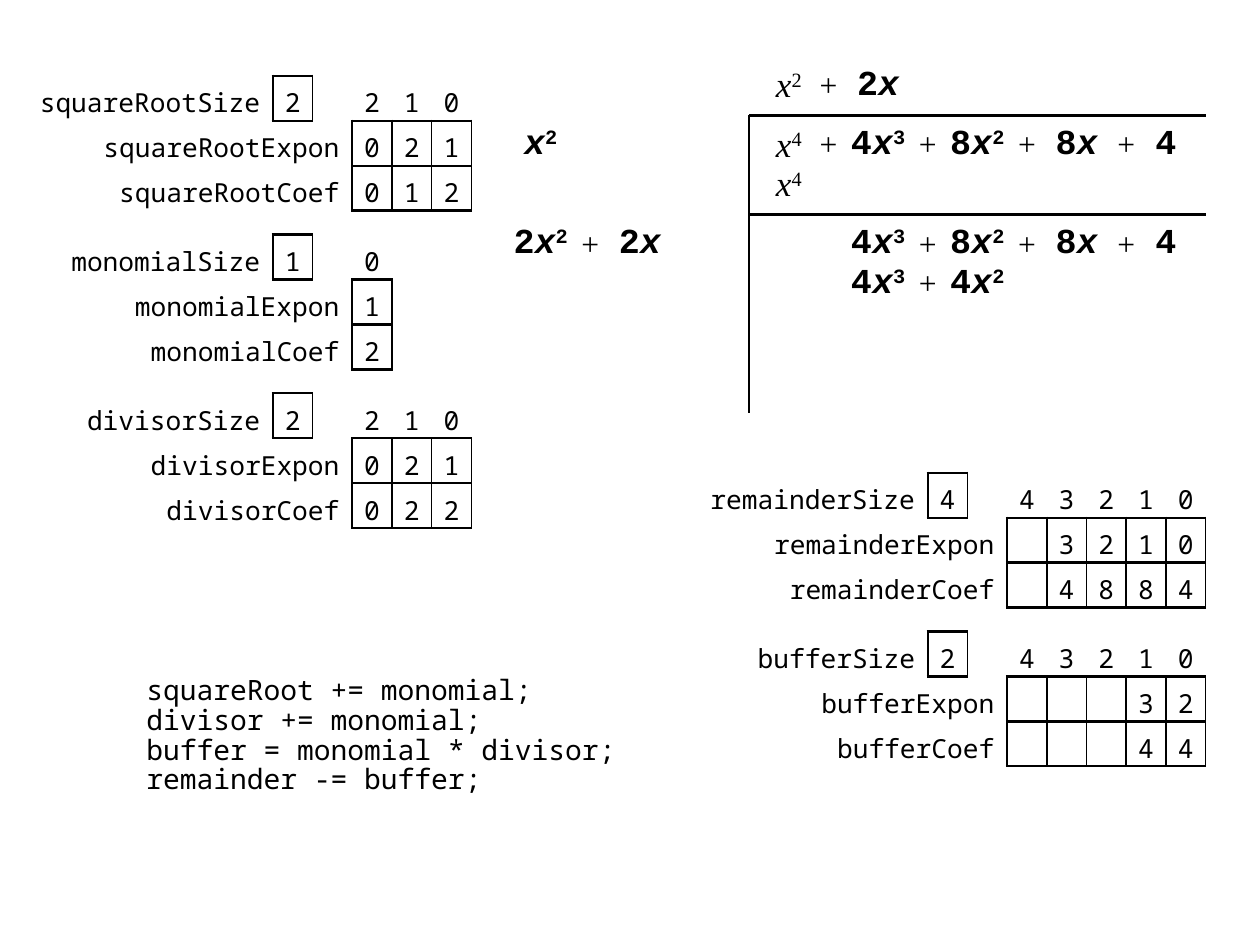
from lxml import etree
from pptx import Presentation
from pptx.dml.color import RGBColor
from pptx.enum.shapes import MSO_CONNECTOR
from pptx.enum.text import MSO_ANCHOR, PP_ALIGN
from pptx.oxml.ns import qn
from pptx.util import Pt

MID = MSO_ANCHOR.MIDDLE
RIGHT, CENTER = PP_ALIGN.RIGHT, PP_ALIGN.CENTER
STRAIGHT = MSO_CONNECTOR.STRAIGHT
PLAIN = "{2D5ABB26-0587-4C30-8999-92F81FD0307C}"  # table style without grid
BLACK = "000000"
MONO, SERIF, TYPE = "Noto Sans Mono", "Times New Roman", "Courier New"
UNIT = 11.34  # grid step
LEFT, TOP = 8.5, 66  # grid origin

# name, column, row, label width, size, exponents, coefficients
ARRAYS = [
    ("squareRoot", 17, -2, 14, "2", "021", "012"),
    ("monomial", 17, 6, 12, "1", "1", "2"),
    ("divisor", 17, 14, 11, "2", "021", "022"),
    ("remainder", 50, 18, 13, "4", " 3210", " 4884"),
    ("buffer", 50, 26, 11, "2", "   32", "   44"),
]

# column, row, column widths, font of the first cell, cells
WIDE = [2, 2, 3, 2, 3, 2, 3, 2, 2]
SLIM = [3, 2, 3, 2, 2]
SUMS = [
    (38, -3, WIDE, SERIF, ["x^2", "+", "2x"]),
    (38, 0, WIDE, SERIF, ["x^4", "+", "4x^3", "+", "8x^2", "+", "8x", "+", "4"]),
    (38, 2, WIDE, SERIF, ["x^4"]),
    (38, 5, WIDE, TYPE, ["", "", "4x^3", "+", "8x^2", "+", "8x", "+", "4"]),
    (38, 7, WIDE, TYPE, ["", "", "4x^3", "+", "4x^2"]),
    (25, 0, SLIM, TYPE, ["x^2"]),
    (25, 5, SLIM, TYPE, ["2x^2", "+", "2x"]),
]

# start column and row, end column and row
RULES = [(37, 0, 37, 15), (37, 0, 60, 0), (37, 5, 60, 5)]

CODE = [
    "squareRoot += monomial;",
    "divisor += monomial;",
    "buffer = monomial * divisor;",
    "remainder -= buffer;",
]


def color(code):
    """Turn a hex string into a colour."""
    return RGBColor.from_string(code)


def spot(col, row):
    """Return the place of a grid point."""
    return Pt(LEFT + col * UNIT), Pt(TOP + row * UNIT)


def style(run, size, face, bold=False, italic=False):
    """Set the font of a run."""
    font = run.font
    font.size, font.name = Pt(size), face
    font.bold, font.italic = bold, italic
    font.color.rgb = color(BLACK)


def edge(cell, widths):
    """Draw cell borders; widths maps the sides L, R, T, B to points."""
    props = cell._tc.get_or_add_tcPr()
    for side in "LRTB":
        line = etree.SubElement(props, qn("a:ln" + side), w=str(Pt(widths[side])))
        fill = etree.SubElement(line, qn("a:solidFill"))
        etree.SubElement(fill, qn("a:srgbClr"), val=BLACK)


def grid(slide, col, row, widths, count, high):
    """Add a bare table; widths and row height are in grid steps."""
    x, y = spot(col, row)
    wide, tall = Pt(sum(widths) * UNIT), Pt(count * high * UNIT)
    frame = slide.shapes.add_table(count, len(widths), x, y, wide, tall)
    table = frame.table
    table.first_row = table.horz_banding = False
    table._tbl.tblPr.find(qn("a:tableStyleId")).text = PLAIN
    for part, width in zip(table.columns, widths):
        part.width = Pt(width * UNIT)
    for part in table.rows:
        part.height = Pt(high * UNIT)
    for cell in table.iter_cells():
        cell.margin_left = cell.margin_right = 0
        cell.margin_top = cell.margin_bottom = 0
        cell.vertical_anchor = MID
    return table


def write(cell, text, align=CENTER):
    """Put a word or digit in a cell of an array."""
    if text.strip():
        para = cell.text_frame.paragraphs[0]
        para.text, para.alignment, para.line_spacing = text, align, 1.25
        style(para.runs[0], 15, MONO)


def label(cell, text):
    """Write a name to the left of its boxes."""
    cell.margin_right = Pt(7.2)
    write(cell, text, RIGHT)
    cell.fill.background()


def box(cell, text, left=1.5):
    """Write a value in a framed cell."""
    edge(cell, {"L": left, "R": 1, "T": 1.5, "B": 1.5})
    write(cell, text)
    cell.fill.background()


def array(slide, name, col, row, wide, size, expon, coef):
    """Draw a polynomial: its size box, index row and value rows."""
    table = grid(slide, col - wide, row, [wide] + [2] * len(expon), 3, 2)
    for k in range(len(expon)):
        write(table.cell(0, k + 1), str(len(expon) - 1 - k))
    for r, (tail, values) in enumerate([("Expon", expon), ("Coef", coef)], 1):
        label(table.cell(r, 0), name + tail)
        for c, value in enumerate(values, 1):
            box(table.cell(r, c), value, 1.5 if c == 1 else 1)
    table = grid(slide, col - 3 - wide, row, [wide - 1, 2], 1, 2)
    label(table.cell(0, 0), name + "Size")
    box(table.cell(0, 1), size)


def term(cell, text, face):
    """Write a plus sign or a term such as 4x^3."""
    para = cell.text_frame.paragraphs[0]
    para.alignment = CENTER
    space = etree.SubElement(para._p.get_or_add_pPr(), qn("a:spcBef"))
    etree.SubElement(space, qn("a:spcPct"), val="50000")
    base, _, power = text.partition("^")
    for sign in base + power[:1]:
        run = para.add_run()
        run.text = sign
        if sign == "+":
            style(run, 18, SERIF)
        else:
            style(run, 20, face, face == TYPE, sign == "x")
    if power:
        run.font._element.set("baseline", "30000")


def total(slide, col, row, widths, first, cells):
    """Draw one line of the long division."""
    table = grid(slide, col, row, widths, 1, 3)
    for c, text in enumerate(cells):
        if text:
            term(table.cell(0, c), text, TYPE if c else first)


def rule(slide, col, row, end, low):
    """Draw a straight line between two grid points."""
    line = slide.shapes.add_connector(STRAIGHT, *spot(col, row), *spot(end, low))
    line.line.width = Pt(1.5)
    line.line.color.rgb = color(BLACK)
    etree.SubElement(line._element.spPr, qn("a:effectLst"))


def code(slide, col, row, wide, tall, lines):
    """Write the program lines."""
    shape = slide.shapes.add_textbox(*spot(col, row), Pt(wide * UNIT), Pt(tall * UNIT))
    frame = shape.text_frame
    frame.word_wrap = True
    frame.text = "\n".join(lines)
    for para in frame.paragraphs:
        para.line_spacing = 0.88
        style(para.runs[0], 16, MONO)


def main():
    """Build the slide."""
    deck = Presentation()
    deck.slide_width, deck.slide_height = Pt(720), Pt(540)
    slide = deck.slides.add_slide(deck.slide_layouts[6])
    for item in SUMS:
        total(slide, *item)
    for item in RULES:
        rule(slide, *item)
    for item in ARRAYS:
        array(slide, *item)
    code(slide, 6, 28, 25, 8, CODE)
    deck.save("out.pptx")


main()
